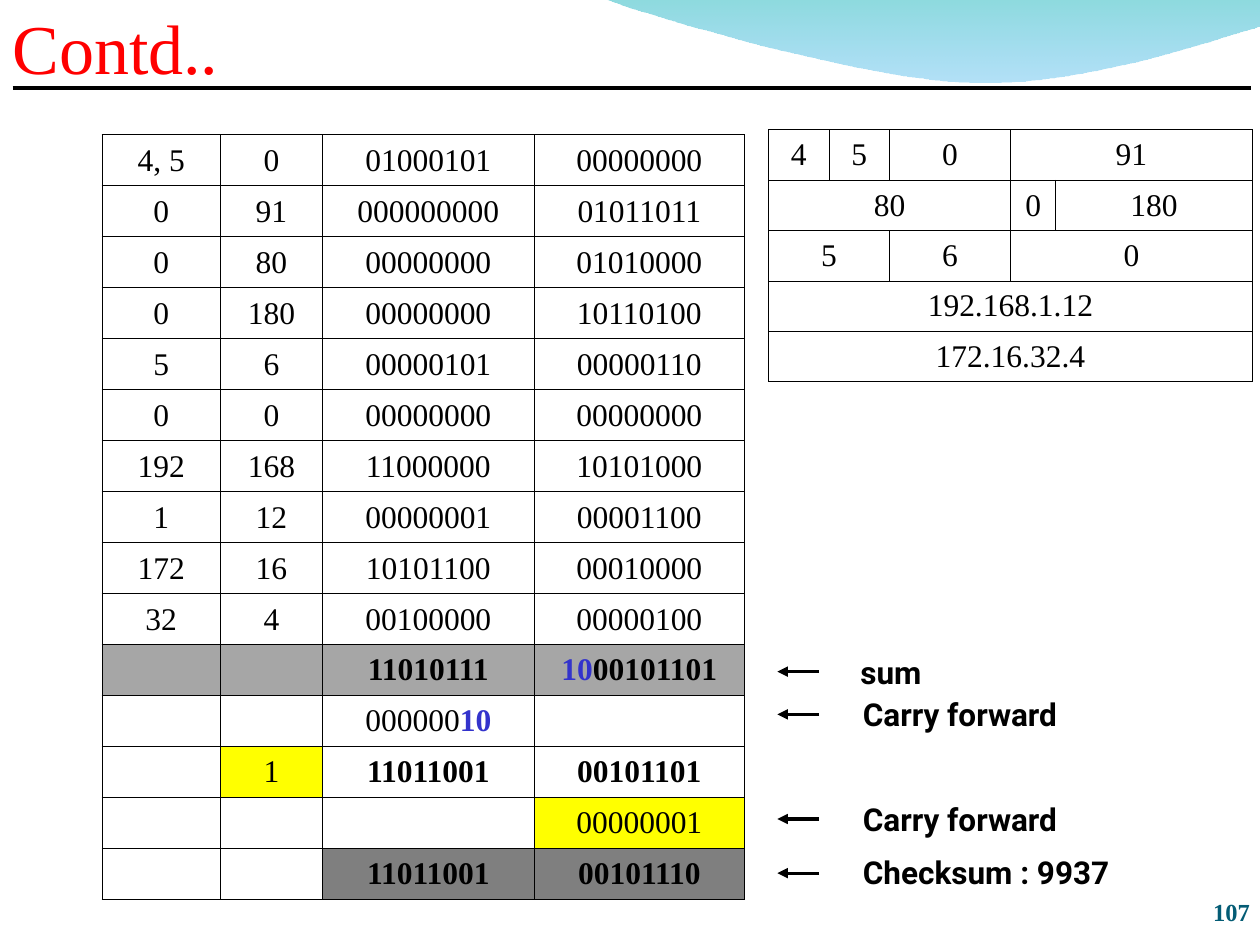
from lxml import etree
from pptx import Presentation
from pptx.dml.color import RGBColor
from pptx.enum.shapes import MSO_CONNECTOR
from pptx.enum.text import MSO_ANCHOR, PP_ALIGN
from pptx.oxml.ns import qn
from pptx.util import Inches, Pt

LEFT, CENTER, RIGHT = PP_ALIGN.LEFT, PP_ALIGN.CENTER, PP_ALIGN.RIGHT
TOP, MIDDLE, BOTTOM = MSO_ANCHOR.TOP, MSO_ANCHOR.MIDDLE, MSO_ANCHOR.BOTTOM
STRAIGHT = MSO_CONNECTOR.STRAIGHT
SERIF, SANS = "Times New Roman", "Roboto"
BLACK, BLUE, YELLOW = "000000", "3333CC", "FFFF00"
LIGHT_GRAY, DARK_GRAY = "A6A6A6", "7F7F7F"
color = RGBColor.from_string


def write(frame, text, size=18, font=SERIF, ink=BLACK, bold=False, align=LEFT):
    para = frame.paragraphs[0]
    para.alignment = align
    span = para.add_run()
    span.text = text
    span.font.size = Pt(size)
    span.font.name = font
    span.font.bold = bold
    span.font.color.rgb = color(ink)


def add_grid(left, top, widths, row_height, rows):
    frame = slide.shapes.add_table(
        len(rows), len(widths), Inches(left), Inches(top),
        Inches(sum(widths)), Inches(row_height * len(rows)))
    table = frame.table
    table.first_row = table.horz_banding = False
    for column, width in zip(table.columns, widths):
        column.width = Inches(width)
    for r, values in enumerate(rows):
        table.rows[r].height = Inches(row_height)
        for c, value in enumerate(values):
            cell = table.cell(r, c)
            cell.vertical_anchor = MIDDLE
            cell.margin_top = cell.margin_bottom = Inches(0.04)
            properties = cell._tc.get_or_add_tcPr()
            for side in ("a:lnL", "a:lnR", "a:lnT", "a:lnB"):
                border = etree.SubElement(properties, qn(side), w=str(Pt(0.45)))
                fill = etree.SubElement(border, qn("a:solidFill"))
                etree.SubElement(fill, qn("a:srgbClr"), val=BLACK)
            cell.fill.background()
            if value:
                write(cell.text_frame, value, align=CENTER)
        for c, value in enumerate(values):
            if value is not None:
                end = c
                while end + 1 < len(values) and values[end + 1] is None:
                    end += 1
                if end > c:
                    table.cell(r, c).merge(table.cell(r, end))
    return table


deck = Presentation()
deck.slide_width, deck.slide_height = Inches(10), Inches(7.5)
slide = deck.slides.add_slide(deck.slide_layouts[6])

curves = [
    [(4.79, -0.01), (5.09, 0.11), (6.82, 0.62), (7.69, 0.65)],
    [(7.69, 0.65), (8.56, 0.69), (9.61, 0.32), (10, 0.21)],
]
steps = 24
outline = []
for curve in curves:
    for step in range(1, steps + 1):
        t = step / steps
        weights = ((1 - t) ** 3, 3 * t * (1 - t) ** 2, 3 * t ** 2 * (1 - t), t ** 3)
        outline.append(tuple(
            Inches(sum(w * point[axis] for w, point in zip(weights, curve)))
            for axis in (0, 1)))
outline.append((Inches(10), Inches(0)))
builder = slide.shapes.build_freeform(Inches(4.79), Inches(-0.01), scale=1.0)
builder.add_line_segments(outline, close=True)
wave = builder.convert_to_shape()
wave.shadow.inherit = False
wave.line.fill.background()
wave.fill.gradient()
wave.fill.gradient_angle = 270
for stop, position, tint, opacity in zip(
        wave.fill.gradient_stops, (0, 1), ("00ADB6", "009BE5"), (45, 30)):
    stop.position = position
    stop.color.rgb = color(tint)
wave_tints = wave._element.spPr.iter(qn("a:srgbClr"))
for tint, opacity in zip(list(wave_tints), (45, 30)):
    etree.SubElement(tint, qn("a:alpha"), val=str(opacity * 1000))

lines = [(0.1, 9.93, 0.7, 2.25, False)]
lines += [(6.5, 6.17, y, 1.75, True) for y in (5.33, 5.67, 6.5, 6.93)]
for start, end, y, weight, has_arrow in lines:
    line = slide.shapes.add_connector(
        STRAIGHT, Inches(start), Inches(y), Inches(end), Inches(y))
    line.line.color.rgb = color(BLACK)
    line.line.width = Pt(weight)
    if has_arrow:
        etree.SubElement(line.line._get_or_add_ln(), qn("a:tailEnd"), type="triangle")
    etree.SubElement(line._element.spPr, qn("a:effectLst"))

label = dict(font=SANS, bold=True)
inset = (0.1, 0.05, 0.1, 0.05)
texts = [
    ("Contd..", (0.1, 0.07, 9.9, 0.63), BOTTOM, (0, 0.05, 0, 0),
     dict(size=40, ink="FF0000")),
    ("107", (9.62, 6.95, 0.3, 0.4), BOTTOM, (0, 0, 0, 0),
     dict(size=14, ink="045C75", bold=True, align=RIGHT)),
    ("sum", (6.73, 5.13, 0.92, 0.4), TOP, inset, label),
    ("Carry forward", (6.75, 5.47, 2.17, 0.4), TOP, inset, label),
    ("Carry forward", (6.75, 6.3, 2.17, 0.4), TOP, inset, label),
    ("Checksum : 9937", (6.75, 6.72, 2.17, 0.7), TOP, inset, label),
]
for text, place, anchor, margins, style in texts:
    box = slide.shapes.add_textbox(*map(Inches, place))
    frame = box.text_frame
    frame.word_wrap = True
    frame.vertical_anchor = anchor
    (frame.margin_left, frame.margin_top,
     frame.margin_right, frame.margin_bottom) = map(Inches, margins)
    write(frame, text, **style)

sum_rows = [
    ("4, 5", "0", "01000101", "00000000"),
    ("0", "91", "000000000", "01011011"),
    ("0", "80", "00000000", "01010000"),
    ("0", "180", "00000000", "10110100"),
    ("5", "6", "00000101", "00000110"),
    ("0", "0", "00000000", "00000000"),
    ("192", "168", "11000000", "10101000"),
    ("1", "12", "00000001", "00001100"),
    ("172", "16", "10101100", "00010000"),
    ("32", "4", "00100000", "00000100"),
    ("", "", "", ""),
    ("", "", "000000", ""),
    ("", "1", "", ""),
    ("", "", "", "00000001"),
    ("", "", "", ""),
]
sum_table = add_grid(0.81, 1.07, (0.94, 0.81, 1.68, 1.67), 0.405, sum_rows)
bold_spans = [
    (10, 2, "11010111", BLACK), (10, 3, "10", BLUE), (10, 3, "00101101", BLACK),
    (11, 2, "10", BLUE),
    (12, 2, "11011001", BLACK), (12, 3, "00101101", BLACK),
    (14, 2, "11011001", BLACK), (14, 3, "00101110", BLACK),
]
for r, c, text, ink in bold_spans:
    write(sum_table.cell(r, c).text_frame, text, ink=ink, bold=True, align=CENTER)
shades = [(10, c, LIGHT_GRAY) for c in range(4)]
shades += [(12, 1, YELLOW), (13, 3, YELLOW), (14, 2, DARK_GRAY), (14, 3, DARK_GRAY)]
for r, c, shade in shades:
    cell = sum_table.cell(r, c)
    cell.fill.solid()
    cell.fill.fore_color.rgb = color(shade)

header_rows = [
    ("4", "5", "0", "91", None),
    ("80", None, None, "0", "180"),
    ("5", None, "6", "0", None),
    ("192.168.1.12", None, None, None, None),
    ("172.16.32.4", None, None, None, None),
]
add_grid(6.1, 1.03, (0.48, 0.48, 0.96, 0.36, 1.56), 0.4, header_rows)

deck.save("out.pptx")
